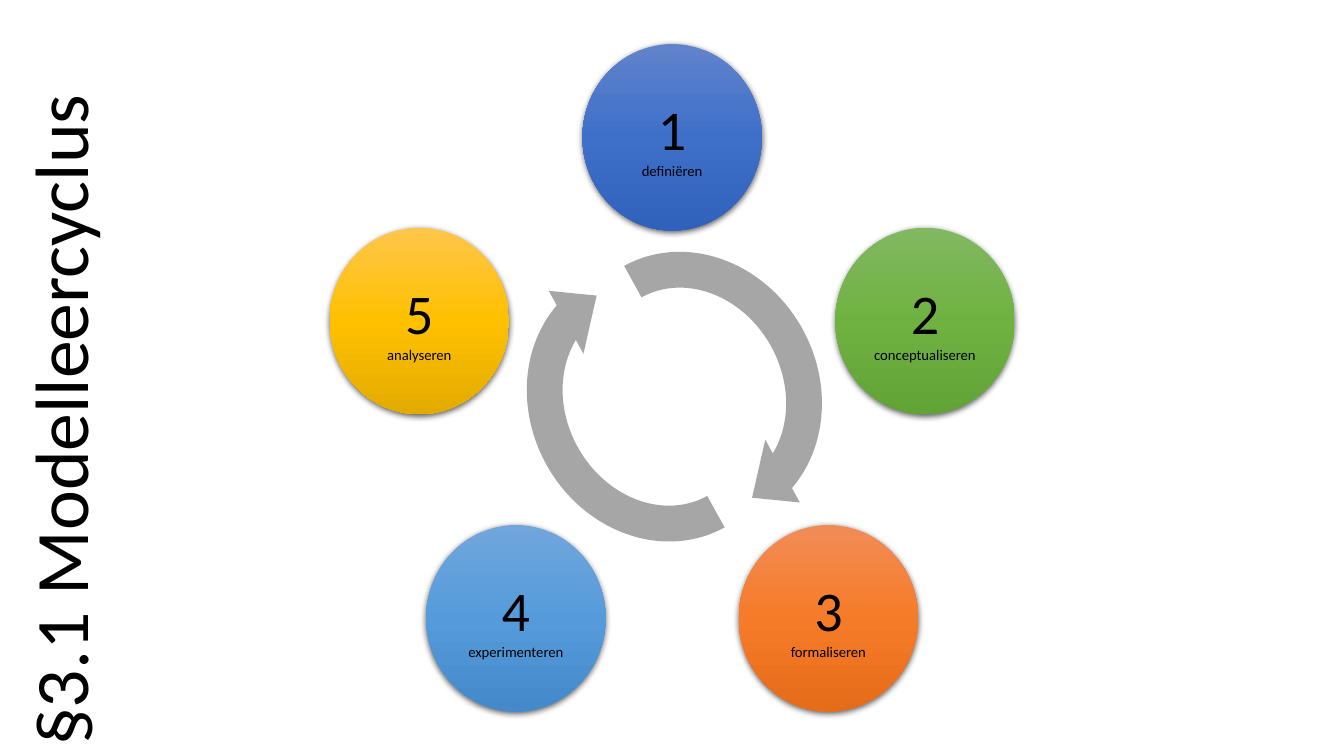
"""Build the slide with the five-step modelling cycle."""
import copy
import math

from lxml import etree
from pptx import Presentation
from pptx import util as u
from pptx.dml.color import RGBColor
from pptx.enum import shapes, text
from pptx.oxml.ns import qn

THEME = {
    "font": "Calibri",
    "ink": "000000",
    "paper": "FFFFFF",
    "arrow": "A6A6A6",
    "title_size": 54,
    "number_size": 40,
    "label_size": 10.5,
}
STEPS = [
    ("definiëren", ("6183CB", "3E70CA", "3062BB")),
    ("conceptualiseren", ("81B861", "6FB242", "62A336")),
    ("formaliseren", ("F18C57", "F67B28", "E56C19")),
    ("experimenteren", ("71A6DB", "559BDB", "448ACA")),
    ("analyseren", ("FFC64B", "FFC000", "E3AB00")),
]
CENTER_X, CENTER_Y, RADIUS = 16.94, 10.16, 6.7
STEP_WIDTH, STEP_HEIGHT = 4.52, 4.7
ARROW_WIDTH, ARROW_HEIGHT = 8.03, 7.24


def style_text(paragraph, size, align):
    paragraph.alignment = align
    for run in paragraph.runs:
        run.font.name = THEME["font"]
        run.font.size = u.Pt(size)
        run.font.color.rgb = RGBColor.from_string(THEME["ink"])


def add_centered(kind, x, y, width, height):
    shape = slide.shapes.add_shape(
        kind, u.Cm(x - width / 2), u.Cm(y - height / 2), u.Cm(width), u.Cm(height))
    shape.shadow.inherit = False
    shape.line.fill.background()
    return shape


deck = Presentation()
deck.slide_width, deck.slide_height = u.Cm(33.87), u.Cm(19.05)
slide = deck.slides.add_slide(deck.slide_layouts[5])

title = slide.shapes.title
title.left, title.top = u.Cm(-7.92), u.Cm(7.92)
title.width, title.height = u.Cm(19.05), u.Cm(3.2)
title.rotation = 270
title.fill.solid()
title.fill.fore_color.rgb = RGBColor.from_string(THEME["paper"])
paper = title._element.spPr.find(".//" + qn("a:srgbClr"))
etree.SubElement(paper, qn("a:alpha"), val="80000")
title.text_frame.text = "§3.1 Modelleercyclus"
title.text_frame.word_wrap = True
title.text_frame.auto_size = text.MSO_AUTO_SIZE.NONE
title.text_frame.vertical_anchor = text.MSO_ANCHOR.MIDDLE
heading = title.text_frame.paragraphs[0]
heading.line_spacing = 0.9
style_text(heading, THEME["title_size"], text.PP_ALIGN.LEFT)

for index, (label, shades) in enumerate(STEPS):
    angle = math.radians(360 / len(STEPS) * index)
    step = add_centered(
        shapes.MSO_SHAPE.OVAL,
        CENTER_X + RADIUS * math.sin(angle), CENTER_Y - RADIUS * math.cos(angle),
        STEP_WIDTH, STEP_HEIGHT)

    step.fill.gradient()
    step.fill.gradient_angle = 270
    stop_list = step._element.spPr.find(".//" + qn("a:gsLst"))
    stop_list.append(copy.deepcopy(stop_list[0]))
    for stop, shade, position in zip(step.fill.gradient_stops, shades, (0, 0.5, 1)):
        stop.color.rgb = RGBColor.from_string(shade)
        stop.position = position

    effects = step._element.spPr.find(qn("a:effectLst"))
    shadow = etree.SubElement(
        effects, qn("a:outerShdw"), blurRad=str(u.Pt(4.5)), dist=str(u.Pt(1.5)),
        dir="5400000", algn="ctr", rotWithShape="0")
    shadow_color = etree.SubElement(shadow, qn("a:srgbClr"), val=THEME["ink"])
    etree.SubElement(shadow_color, qn("a:alpha"), val="63000")

    frame = step.text_frame
    frame.margin_left = frame.margin_right = frame.margin_top = frame.margin_bottom = 0
    frame.word_wrap = True
    frame.vertical_anchor = text.MSO_ANCHOR.MIDDLE
    frame.text = f"{index + 1}\n{label}"
    for paragraph, size in zip(frame.paragraphs, (THEME["number_size"], THEME["label_size"])):
        style_text(paragraph, size, text.PP_ALIGN.CENTER)

for x, y, rotation in ((17.45, 9.82, 61.1), (16.54, 10.17, 241.1)):
    arrow = add_centered(shapes.MSO_SHAPE.CIRCULAR_ARROW, x, y, ARROW_WIDTH, ARROW_HEIGHT)
    arrow.rotation = rotation
    arrow.fill.solid()
    arrow.fill.fore_color.rgb = RGBColor.from_string(THEME["arrow"])

deck.save("out.pptx")
